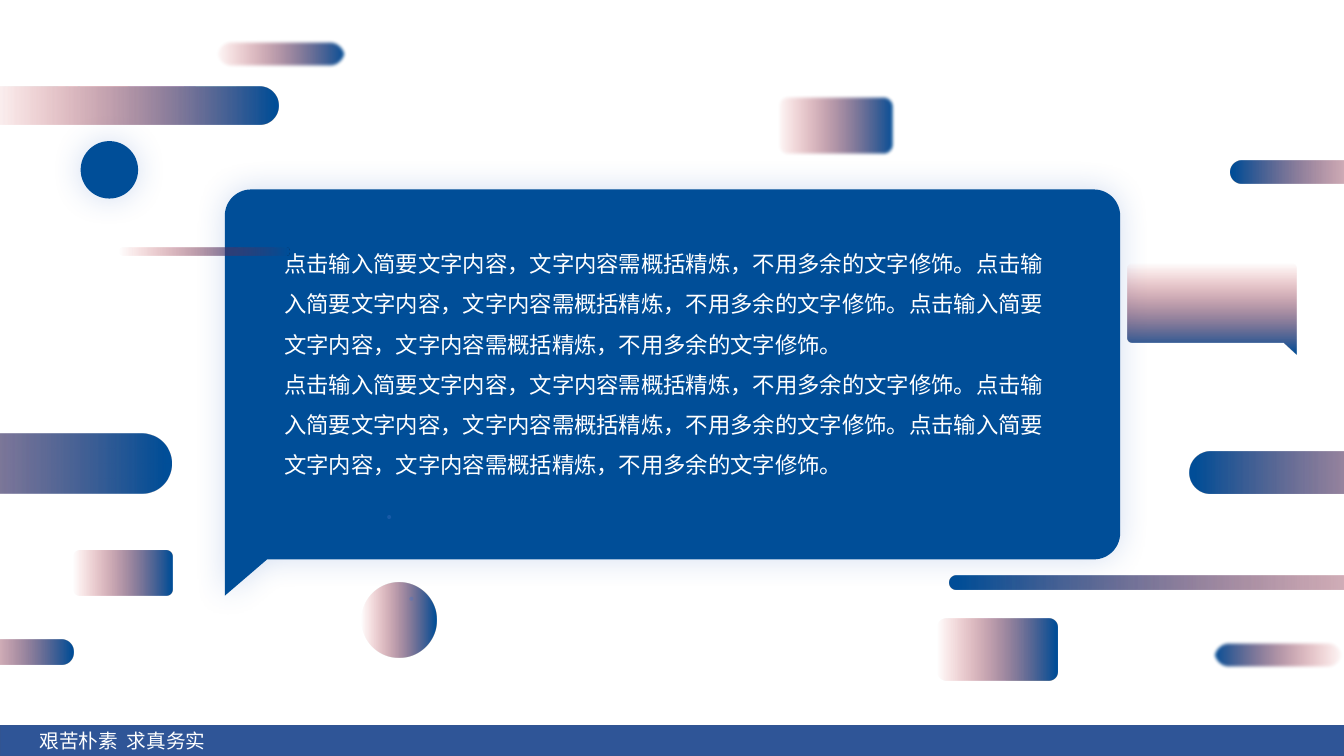
from dataclasses import dataclass
from math import cos, radians, sin

from lxml.etree import SubElement
from pptx import Presentation
from pptx.dml.color import RGBColor
from pptx.enum.shapes import MSO_SHAPE as Preset
from pptx.enum.text import MSO_AUTO_SIZE as AutoSize, PP_ALIGN as Align
from pptx.oxml.ns import qn
from pptx.util import Inches, Pt

COLORS = {
    "red": "CB0B0A",
    "blue": "004E98",
    "glow": "4472C4",
    "band": "2F5597",
    "band_line": "325491",
    "white": "FFFFFF",
}
FONT = "Roboto"
ADVICE = "点击输入简要文字内容，文字内容需概括精炼，不用多余的文字修饰。" * 3
MOTTO = "艰苦朴素  求真务实"
RIGHT, LEFT, DOWN = 0, 180, 270  # where a fade turns blue
PILL, CARD = 0.5, 0.148  # corner roundness


@dataclass
class Fade:
    """A shape that fades from clear to blue."""
    left: float
    top: float
    width: float
    height: float
    corner: float | None = PILL  # None makes an ellipse
    toward: int = RIGHT
    soft: bool = False


@dataclass
class Dot:
    left: float
    top: float
    size: float
    color: str
    alpha: int = 100
    glow: bool = False


DECORATIONS = [
    Fade(7.69, 0.94, 1.19, 0.61, CARD, soft=True),
    Fade(0.73, 5.46, 0.98, 0.45, CARD),
    Fade(9.3, 6.14, 1.19, 0.61, CARD),
    Fade(3.59, 5.78, 0.74, 0.74, None),
    Dot(3.84, 5.11, 0.04, "glow", 34),
    Dot(4.06, 5.92, 0.04, "glow", 34),
    Dot(0.8, 1.4, 0.57, "blue", glow=True),
    Fade(-0.18, 0.86, 2.94, 0.38),
    Fade(-0.42, 6.35, 1.15, 0.24),
    Fade(11.8, 4.48, 3.78, 0.42, toward=LEFT),
    Fade(9.42, 5.71, 6.16, 0.14, toward=LEFT),
    Fade(1.19, 2.46, 1.68, 0.07),
    Fade(12.2, 1.59, 1.81, 0.23, toward=LEFT),
    Fade(-3.54, 4.3, 5.24, 0.6),
    Fade(2.12, 0.39, 1.33, 0.29, soft=True),
    Fade(12.02, 6.35, 1.33, 0.29, toward=LEFT, soft=True),
]


def rgb(name: str) -> RGBColor:
    return RGBColor.from_string(COLORS[name])


def set_alpha(color_element, percent: int) -> None:
    SubElement(color_element, qn("a:alpha"), val=str(percent * 1000))


def strip(shape) -> None:
    """Remove the default outline and shadow."""
    shape.line.fill.background()
    shape.shadow.inherit = False


def fill_solid(shape, color: str, alpha: int = 100) -> None:
    shape.fill.solid()
    shape.fill.fore_color.rgb = rgb(color)
    if alpha < 100:
        set_alpha(shape.element.spPr.find(".//" + qn("a:srgbClr")), alpha)


def fill_fade(shape, toward: int) -> None:
    shape.fill.gradient()
    shape.fill.gradient_angle = toward
    clear, solid = shape.fill.gradient_stops
    clear.color.rgb, clear.position = rgb("red"), 0
    solid.color.rgb, solid.position = rgb("blue"), 0.99
    set_alpha(shape.element.spPr.find(".//" + qn("a:srgbClr")), 0)


def add_glow(shape) -> None:
    """Put an even blue shadow all around the shape."""
    effects = shape.element.spPr.find(qn("a:effectLst"))
    shadow = SubElement(effects, qn("a:outerShdw"), blurRad=str(Pt(22)), dist="0",
                        dir="0", algn="ctr", rotWithShape="0")
    set_alpha(SubElement(shadow, qn("a:srgbClr"), val=COLORS["glow"]), 23)


def soften(shape) -> None:
    effects = shape.element.spPr.find(qn("a:effectLst"))
    SubElement(effects, qn("a:softEdge"), rad=str(Pt(2.5)))


def add_fade(shapes, fade: Fade) -> None:
    preset = Preset.OVAL if fade.corner is None else Preset.ROUNDED_RECTANGLE
    shape = shapes.add_shape(preset, Inches(fade.left), Inches(fade.top),
                             Inches(fade.width), Inches(fade.height))
    if fade.corner is not None:
        shape.adjustments[0] = fade.corner
    strip(shape)
    fill_fade(shape, fade.toward)
    if fade.soft:
        soften(shape)


def add_dot(shapes, dot: Dot) -> None:
    shape = shapes.add_shape(Preset.OVAL, Inches(dot.left), Inches(dot.top),
                             Inches(dot.size), Inches(dot.size))
    strip(shape)
    fill_solid(shape, dot.color, dot.alpha)
    if dot.glow:
        add_glow(shape)


def corner(x: float, y: float, radius: float, start: int) -> list[tuple[float, float]]:
    """Points of a clockwise quarter circle around (x, y)."""
    angles = [radians(start + step) for step in range(0, 91, 6)]
    return [(x + radius * cos(a), y + radius * sin(a)) for a in angles]


def add_outline(shapes, points: list[tuple[float, float]]):
    start, *rest = [(Inches(x), Inches(y)) for x, y in points]
    builder = shapes.build_freeform(*start)
    builder.add_line_segments(rest, close=True)
    shape = builder.convert_to_shape()
    strip(shape)
    return shape


def add_bubbles(shapes) -> None:
    speech = add_outline(shapes, [
        *corner(2.49, 2.14, 0.26, 180), *corner(10.85, 2.14, 0.26, 270),
        *corner(10.85, 5.29, 0.26, 0), (2.65, 5.55), (2.23, 5.91)])
    fill_solid(speech, "blue")
    add_glow(speech)
    reply = add_outline(shapes, [
        *corner(11.23, 2.66, 0.05, 180), *corner(12.81, 2.66, 0.05, 270),
        (12.86, 3.52), (12.73, 3.4), *corner(11.23, 3.35, 0.05, 90)])
    fill_fade(reply, DOWN)


def add_text(shapes, box: tuple[float, ...], lines: list[str], size: int,
             align: Align | None = None, spacing: float | None = None) -> None:
    frame = shapes.add_textbox(*map(Inches, box)).text_frame
    frame.word_wrap = True
    frame.auto_size = AutoSize.SHAPE_TO_FIT_TEXT
    frame.text = "\n".join(lines)
    for paragraph in frame.paragraphs:
        paragraph.alignment = align
        paragraph.line_spacing = spacing
        for run in paragraph.runs:
            run.font.name = FONT
            run.font.size = Pt(size)
            run.font.color.rgb = rgb("white")


def add_footer(shapes) -> None:
    band = shapes.add_shape(Preset.RECTANGLE, 0, Inches(7.2), Inches(13.33), Inches(0.3))
    band.shadow.inherit = False
    fill_solid(band, "band")
    band.line.color.rgb = rgb("band_line")
    band.line.width = Pt(1)
    add_text(shapes, (0, 7.18, 2.43, 0.34), [MOTTO], 14, Align.CENTER)


def main() -> None:
    deck = Presentation()
    deck.slide_width, deck.slide_height = Inches(13.33), Inches(7.5)
    shapes = deck.slides.add_slide(deck.slide_layouts[6]).shapes
    add_bubbles(shapes)
    for item in DECORATIONS:
        if isinstance(item, Fade):
            add_fade(shapes, item)
        else:
            add_dot(shapes, item)
    add_text(shapes, (2.72, 2.3, 7.89, 2.49), [ADVICE, ADVICE], 16, spacing=1.5)
    add_footer(shapes)
    deck.save("out.pptx")


if __name__ == "__main__":
    main()
